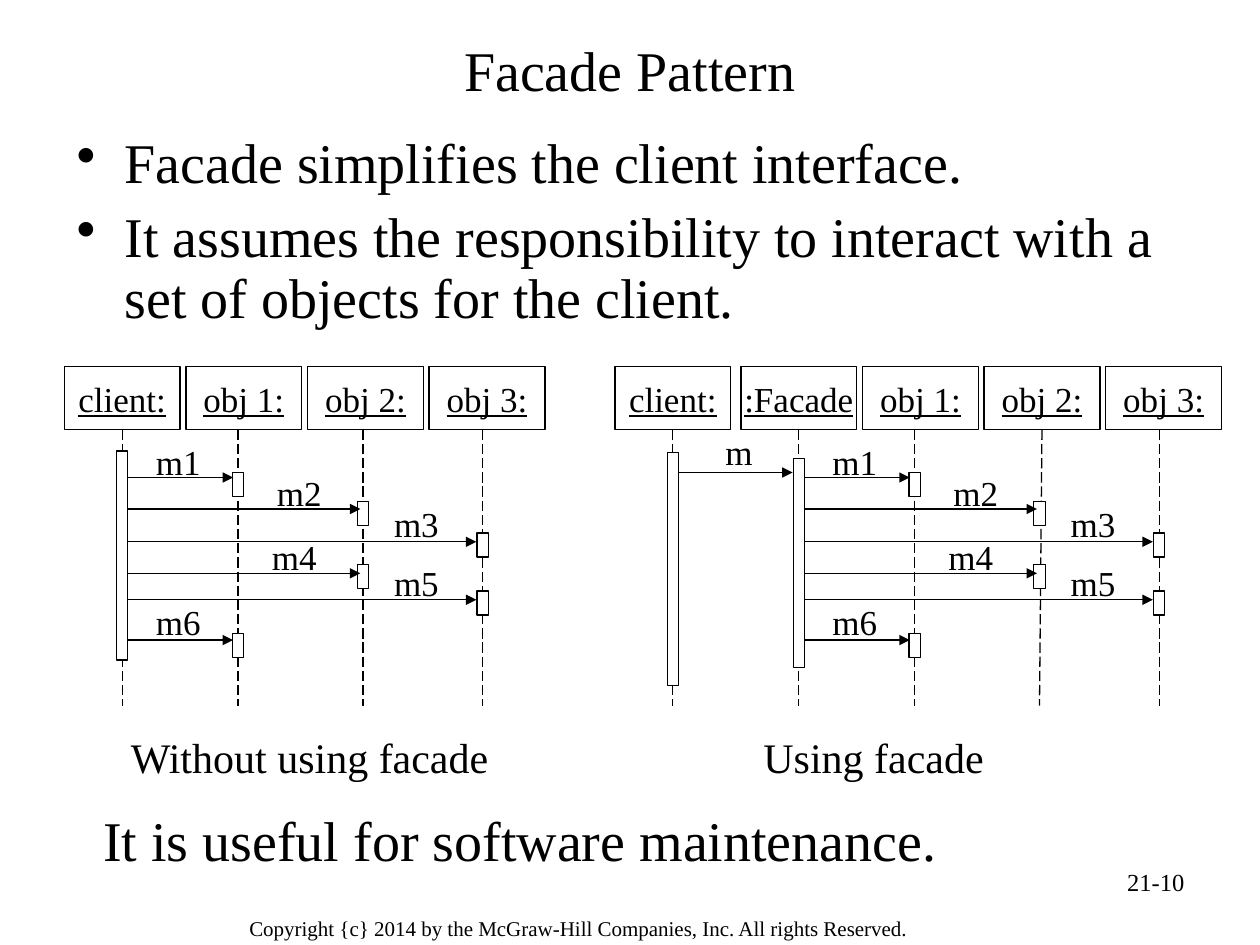
from lxml.etree import SubElement as Sub
from pptx import Presentation
from pptx.dml.color import RGBColor
from pptx.enum.dml import MSO_LINE as Dash
from pptx.enum.shapes import MSO_CONNECTOR as Conn, MSO_SHAPE as Kind
from pptx.enum.text import MSO_ANCHOR as Anchor, MSO_AUTO_SIZE as Auto, PP_ALIGN as Align
from pptx.oxml.ns import qn
from pptx.util import Inches, Pt

BLACK = RGBColor(0, 0, 0)
WHITE = RGBColor(255, 255, 255)

SHIFT = 5.37
TOP, WIDE, HIGH = 2.91, 0.92, 0.5
FOOT = 5.6
BAR = 0.09
AXES = [0.97, 1.89, 2.88, 3.83]
ENDS = [None, 1.85, 2.86, 3.78]
CALLS = [
    ("m1", 1, 3.79, 3.75, 1.14, 3.45),
    ("m2", 2, 4.04, 3.98, 2.1, 3.69),
    ("m3", 3, 4.3, 4.23, 3.03, 3.94),
    ("m4", 2, 4.55, 4.48, 2.06, 4.2),
    ("m5", 3, 4.76, 4.69, 3.03, 4.41),
    ("m6", 1, 5.08, 5.03, 1.14, 4.72),
]


def write(frame, *lines, size=20, align=Align.LEFT, under=None, wrap=True,
          anchor=Anchor.TOP, bullet=False, space=1, gap=0, face="Times New Roman"):
    frame.word_wrap = wrap
    frame.vertical_anchor = anchor
    for i, line in enumerate(lines):
        para = frame.add_paragraph() if i else frame.paragraphs[0]
        if bullet:
            props = para._p.get_or_add_pPr()
            props.set("marL", str(Inches(0.38)))
            props.set("indent", str(-Inches(0.38)))
            Sub(props, qn("a:buChar")).set("char", "•")
        para.alignment = align
        para.line_spacing = space
        para.space_before = Pt(gap if i else 0)
        run = para.add_run()
        run.text = line
        run.font.name = face
        run.font.size = Pt(size)
        run.font.color.rgb = BLACK
        run.font.underline = under


class Board:
    def __init__(self, slide, ink=BLACK, width=0.75):
        self.slide = slide
        self.ink = ink
        self.width = Pt(width)

    def pen(self, line):
        line.color.rgb = self.ink
        line.width = self.width

    def title(self, text, x, y, w, h):
        shape = self.slide.shapes.title
        shape.left, shape.top, shape.width, shape.height = map(Inches, (x, y, w, h))
        write(shape.text_frame, text, size=32, align=Align.CENTER, anchor=Anchor.MIDDLE)

    def text(self, x, y, w, h, *lines, **style):
        box = self.slide.shapes.add_textbox(*map(Inches, (x, y, w, h)))
        box.text_frame.auto_size = Auto.NONE
        write(box.text_frame, *lines, **style)

    def rect(self, x, y, w, h, fill=None):
        shape = self.slide.shapes.add_shape(Kind.RECTANGLE, *map(Inches, (x, y, w, h)))
        shape.shadow.inherit = False
        if fill is None:
            shape.fill.background()
        else:
            shape.fill.solid()
            shape.fill.fore_color.rgb = fill
        self.pen(shape.line)
        return shape

    def line(self, x1, y1, x2, y2, arrow=False):
        link = self.slide.shapes.add_connector(
            Conn.STRAIGHT, *map(Inches, (x1, y1, x2, y2)))
        self.pen(link.line)
        props = link._element.spPr
        if arrow:
            Sub(props.find(qn("a:ln")), qn("a:tailEnd")).set("type", "triangle")
        else:
            link.line.dash_style = Dash.LONG_DASH
        Sub(props, qn("a:effectLst"))
        return link

    def bar(self, axis, y, h=0.19):
        self.rect(axis - BAR / 2, y, BAR, h, WHITE)

    def head(self, name, x, axis):
        box = self.rect(x, TOP, WIDE, HIGH)
        write(box.text_frame, name, align=Align.CENTER, under=True, wrap=False,
              anchor=Anchor.MIDDLE)
        link = self.line(axis, TOP + HIGH, axis, FOOT)
        if abs(x + WIDE / 2 - axis) < 0.02:
            link.begin_connect(box, 2)

    def label(self, name, x, y, w=0.55):
        self.text(x, y, w, 0.44, name, align=Align.CENTER, wrap=False)

    def calls(self, first, shift, start):
        names = [first, "obj 1:", "obj 2:", "obj 3:"]
        for i, (name, axis) in enumerate(zip(names, AXES)):
            self.head(name, 0.51 + shift + i * 0.965, axis + shift)
        self.bar(AXES[0] + shift, start, 1.66)
        for name, col, y, top, x, high in CALLS:
            self.bar(AXES[col] + shift, top)
            self.line(1.01 + shift, y, ENDS[col] + shift, y, arrow=True)
            self.label(name, x + shift, high)


def main():
    deck = Presentation()
    deck.slide_width, deck.slide_height = Inches(10), Inches(7.5)
    board = Board(deck.slides.add_slide(deck.slide_layouts[5]))

    board.title("Facade Pattern", 0.5, 0.17, 9, 0.75)
    board.text(0.51, 1.02, 9, 1.72,
               "Facade simplifies the client interface.",
               "It assumes the responsibility to interact with a set of objects for the client.",
               size=32, bullet=True, space=0.9, gap=8)

    board.calls("client:", 0, 3.58)
    board.text(0.94, 5.76, 3.05, 0.5, "Without using facade", size=24, wrap=False)

    board.calls(":Facade", SHIFT, 3.64)
    board.head("client:", 4.88, 5.34)
    board.bar(5.34, 3.59, 1.85)
    board.line(5.38, 3.75, 6.29, 3.75, arrow=True)
    board.label("m", 5.66, 3.37, 0.41)
    board.text(5.96, 5.76, 1.95, 0.5, "Using facade", size=24, wrap=False)

    board.text(0.72, 6.34, 6.89, 0.64, "It is useful for software maintenance.", size=32)
    board.text(7.17, 6.83, 2.33, 0.52, "21-10", size=14, align=Align.RIGHT)
    board.text(1.88, 7.22, 6.19, 0.31,
               "Copyright {c} 2014 by the McGraw-Hill Companies, Inc. All rights Reserved.",
               size=12)
    deck.save("out.pptx")


if __name__ == "__main__":
    main()
